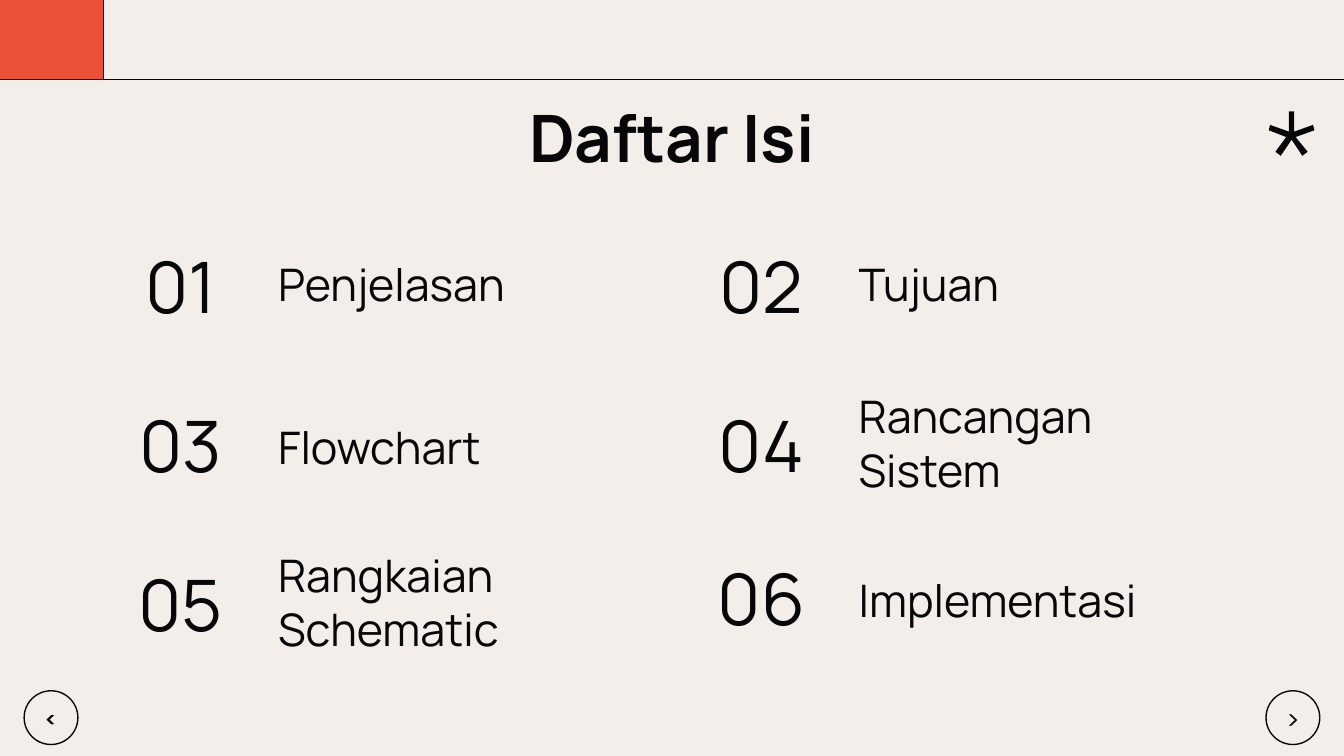
from pptx import Presentation, util as u
from pptx.dml.color import RGBColor
from pptx.enum import shapes, text
from pptx.oxml.ns import qn
from lxml import etree

INK, PAPER, ACCENT = "070709", "F3EEEA", "EA5138"
WIDTH = 10
HEIGHT = WIDTH * 9 / 16
HEADING = "Daftar Isi"
TOP, MIDDLE, BOTTOM = text.MSO_ANCHOR.TOP, text.MSO_ANCHOR.MIDDLE, text.MSO_ANCHOR.BOTTOM
LEFT, CENTER = text.PP_ALIGN.LEFT, text.PP_ALIGN.CENTER

TOPICS = [
    dict(number="01", topic="Penjelasan", lines=1, anchor=TOP, nudge=0),
    dict(number="02", topic="Tujuan", lines=1, anchor=TOP, nudge=0),
    dict(number="03", topic="Flowchart", lines=1, anchor=BOTTOM, nudge=0),
    dict(number="04", topic="Rancangan Sistem", lines=2, anchor=BOTTOM, nudge=0),
    dict(number="05", topic="Rangkaian Schematic", lines=2, anchor=BOTTOM, nudge=0),
    dict(number="06", topic="Implementasi", lines=1, anchor=BOTTOM, nudge=-0.04),
]
COLUMNS, FIRST_COLUMN, COLUMN_STEP = 2, 0.9, 4.32
FIRST_ROW, ROW_STEP = 1.81, 1.18
NUMBER_WIDTH, TOPIC_OFFSET, TOPIC_WIDTH = 0.89, 1.07, 2.82
LINE_HEIGHTS = {1: 0.63, 2: 0.98}

BUTTON, MARGIN, BUTTON_TOP = 0.4, 0.18, 5.14
BUTTONS = [
    (MARGIN, "<", dict(size=u.Pt(12), bold=True)),
    (WIDTH - MARGIN - BUTTON, ">", dict(size=u.Pt(15), bold=False)),
]
BAND = 0.59
ASTERISK = [
    (9.59, 0.83), (9.59, 0.98), (9.45, 0.93), (9.44, 0.97), (9.57, 1.02),
    (9.49, 1.13), (9.53, 1.16), (9.61, 1.04), (9.69, 1.16), (9.73, 1.13),
    (9.64, 1.02), (9.78, 0.97), (9.77, 0.93), (9.63, 0.98), (9.63, 0.83),
]


def color(value):
    return RGBColor.from_string(value)


def inches(*values):
    return [u.Inches(value) for value in values]


def write(box, words, align, anchor, **font):
    frame = box.text_frame
    margins = {f"margin_{side}": u.Inches(0.1) for side in ("left", "top", "right", "bottom")}
    for key, value in dict(margins, word_wrap=True, vertical_anchor=anchor).items():
        setattr(frame, key, value)
    paragraph = frame.paragraphs[0]
    paragraph.text, paragraph.alignment = words, align
    for key, value in dict(dict(name="Manrope"), **font).items():
        setattr(paragraph.font, key, value)
    paragraph.font.color.rgb = color(INK)


def paint(shape, fill=None, outline=True):
    shape.shadow.inherit = False
    if fill:
        shape.fill.solid()
        shape.fill.fore_color.rgb = color(fill)
    else:
        shape.fill.background()
    if outline:
        shape.line.color.rgb, shape.line.width = color(INK), u.Pt(0.75)
    else:
        shape.line.fill.background()


deck = Presentation()
deck.slide_width, deck.slide_height = inches(WIDTH, HEIGHT)
slide = deck.slides.add_slide(deck.slide_layouts[6])
slide.background.fill.solid()
slide.background.fill.fore_color.rgb = color(PAPER)
canvas = slide.shapes

rule = canvas.add_connector(shapes.MSO_CONNECTOR.STRAIGHT, *inches(0, BAND, 10.03, BAND))
rule.line.color.rgb, rule.line.width = color(INK), u.Pt(0.75)
etree.SubElement(rule._element.spPr, qn("a:effectLst"))

corner = canvas.add_shape(shapes.MSO_SHAPE.RECTANGLE, *inches(-0.02, -0.2, 0.79, 0.79))
paint(corner, ACCENT)

points = [inches(*point) for point in ASTERISK]
asterisk = canvas.build_freeform(*points[0])
asterisk.add_line_segments(points[1:], close=True)
paint(asterisk.convert_to_shape(), INK, outline=False)

heading = canvas.add_textbox(*inches(0.78, 0.62, 8.44, 0.63))
write(heading, HEADING, CENTER, TOP, size=u.Pt(35), bold=True)

for index, entry in enumerate(TOPICS):
    row, column = divmod(index, COLUMNS)
    left = FIRST_COLUMN + column * COLUMN_STEP
    top = FIRST_ROW + row * ROW_STEP + entry["nudge"]
    height = LINE_HEIGHTS[entry["lines"]]
    topic_top = top - (height - LINE_HEIGHTS[1]) / 2
    number = canvas.add_textbox(*inches(left, top, NUMBER_WIDTH, LINE_HEIGHTS[1]))
    write(number, entry["number"], CENTER, MIDDLE, size=u.Pt(38))
    topic = canvas.add_textbox(*inches(left + TOPIC_OFFSET, topic_top, TOPIC_WIDTH, height))
    write(topic, entry["topic"], LEFT, entry["anchor"], size=u.Pt(24))

for left, arrow, font in BUTTONS:
    button = canvas.add_shape(shapes.MSO_SHAPE.OVAL, *inches(left, BUTTON_TOP, BUTTON, BUTTON))
    paint(button)
    write(button, arrow, CENTER, MIDDLE, name="Cabin", **font)

deck.save("out.pptx")
